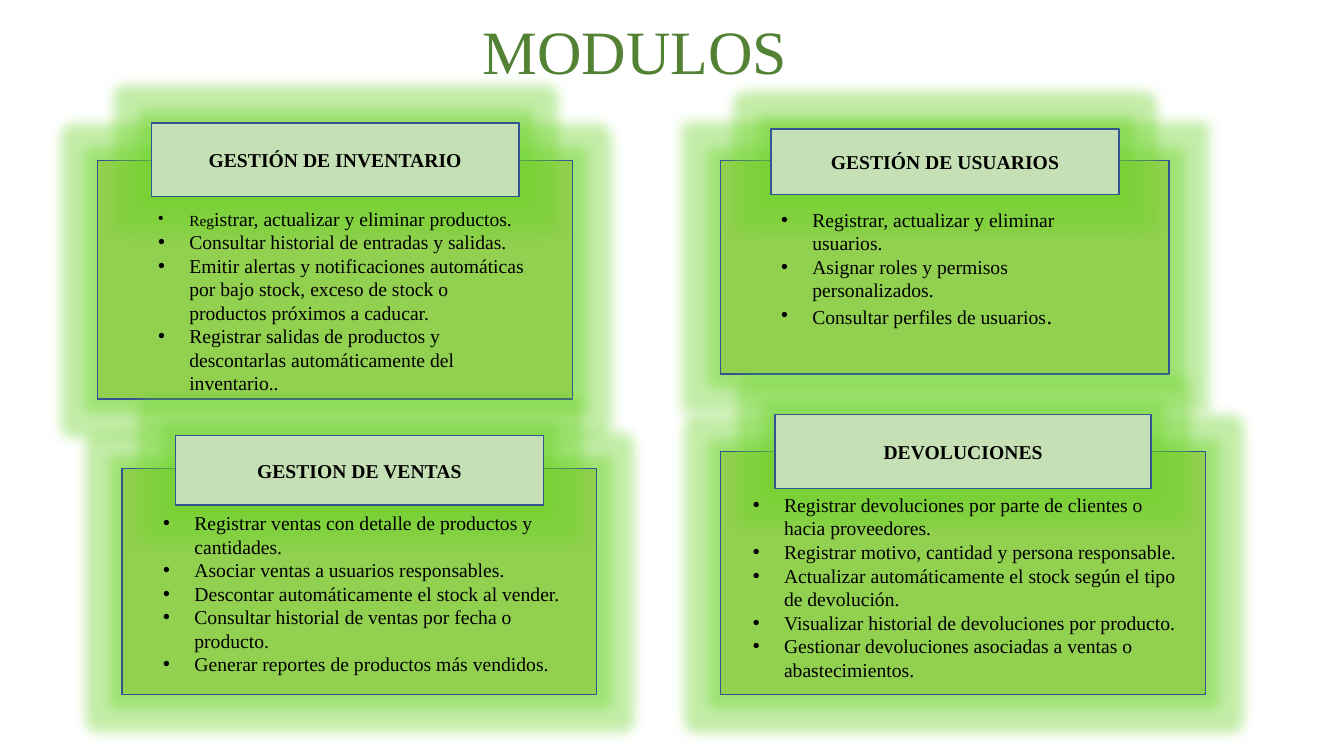
from dataclasses import dataclass

from lxml import etree
from pptx import Presentation
from pptx.dml.color import RGBColor
from pptx.enum.shapes import MSO_SHAPE
from pptx.enum.text import MSO_ANCHOR, PP_ALIGN
from pptx.oxml.ns import qn
from pptx.util import Inches, Pt

RECTANGLE = MSO_SHAPE.RECTANGLE
MIDDLE = MSO_ANCHOR.MIDDLE
CENTER = PP_ALIGN.CENTER

COLUMNS, ROWS = 160, 90
SLIDE_WIDTH, SLIDE_HEIGHT = Inches(13.33), Inches(7.5)
INDENT = Inches(0.31)
GLOW_RADIUS = Pt(18)

COLORS = {
    "panel": "92D050",
    "header": "C5E0B4",
    "outline": "325491",
    "glow": "6BD327",
    "title": "548235",
    "text": "000000",
}
BODY_FORMAT = {"name": "Times New Roman", "size": Pt(14)}
HEADER_FORMAT = {**BODY_FORMAT, "bold": True}
TITLE_FORMAT = {**BODY_FORMAT, "size": Pt(44)}


@dataclass(frozen=True)
class Area:
    column: float
    row: float
    columns: float
    rows: float

    def box(self) -> tuple[int, int, int, int]:
        return (
            round(self.column * SLIDE_WIDTH / COLUMNS),
            round(self.row * SLIDE_HEIGHT / ROWS),
            round(self.columns * SLIDE_WIDTH / COLUMNS),
            round(self.rows * SLIDE_HEIGHT / ROWS),
        )


@dataclass(frozen=True)
class Part:
    text: str
    size: int = 14


@dataclass(frozen=True)
class Module:
    name: str
    panel: Area
    header: Area
    listing: Area
    items: tuple[tuple[Part, ...], ...]


def plain(*texts: str) -> tuple[tuple[Part, ...], ...]:
    return tuple((Part(text),) for text in texts)


TITLE_AREA = Area(21.84, 1.8, 107.52, 9.36)
MODULES = (
    Module(
        "GESTIÓN DE INVENTARIO",
        Area(11.64, 19.08, 56.52, 28.44),
        Area(18, 14.64, 43.8, 8.76),
        Area(17.64, 24, 46.68, 23.88),
        ((Part("Reg", 11), Part("istrar, actualizar y eliminar productos.")),)
        + plain(
            "Consultar historial de entradas y salidas.",
            "Emitir alertas y notificaciones automáticas por bajo stock, "
            "exceso de stock o productos próximos a caducar.",
            "Registrar salidas de productos y descontarlas automáticamente "
            "del inventario..",
        ),
    ),
    Module(
        "GESTIÓN DE USUARIOS",
        Area(85.8, 19.08, 53.4, 25.44),
        Area(91.8, 15.36, 41.4, 7.8),
        Area(91.8, 24.12, 41.4, 15.72),
        plain(
            "Registrar, actualizar y eliminar usuarios.",
            "Asignar roles y permisos personalizados.",
        )
        + ((Part("Consultar perfiles de usuarios"), Part(".", 16)),),
    ),
    Module(
        "GESTION DE VENTAS",
        Area(14.52, 55.8, 56.52, 26.88),
        Area(20.88, 51.84, 43.8, 8.28),
        Area(18.24, 60.24, 50.04, 21),
        plain(
            "Registrar ventas con detalle de productos y cantidades.",
            "Asociar ventas a usuarios responsables.",
            "Descontar automáticamente el stock al vender.",
            "Consultar historial de ventas por fecha o producto.",
            "Generar reportes de productos más vendidos.",
        ),
    ),
    Module(
        "DEVOLUCIONES",
        Area(85.8, 53.76, 57.72, 28.92),
        Area(92.28, 49.32, 44.76, 8.88),
        Area(88.44, 58.08, 53.4, 23.88),
        plain(
            "Registrar devoluciones por parte de clientes o hacia proveedores.",
            "Registrar motivo, cantidad y persona responsable.",
            "Actualizar automáticamente el stock según el tipo de devolución.",
            "Visualizar historial de devoluciones por producto.",
            "Gestionar devoluciones asociadas a ventas o abastecimientos.",
        ),
    ),
)


def color(name: str) -> RGBColor:
    return RGBColor.from_string(COLORS[name])


def add_run(paragraph, text: str, formats: dict, color_name: str = "text") -> None:
    run = paragraph.add_run()
    run.text = text
    for attribute, value in formats.items():
        setattr(run.font, attribute, value)
    run.font.color.rgb = color(color_name)


def add_glow(shape) -> None:
    effects = shape._element.spPr.find(qn("a:effectLst"))
    glow = etree.SubElement(effects, qn("a:glow"), rad=str(GLOW_RADIUS))
    tint = etree.SubElement(glow, qn("a:srgbClr"), val=COLORS["glow"])
    etree.SubElement(tint, qn("a:alpha"), val="40000")


def add_rectangle(shapes, area: Area, fill: str):
    shape = shapes.add_shape(RECTANGLE, *area.box())
    shape.shadow.inherit = False
    shape.fill.solid()
    shape.fill.fore_color.rgb = color(fill)
    shape.line.color.rgb = color("outline")
    shape.line.width = Pt(1)
    add_glow(shape)
    return shape


def add_centered(shape, text: str, formats: dict, color_name: str):
    frame = shape.text_frame
    frame.word_wrap = True
    frame.vertical_anchor = MIDDLE
    paragraph = frame.paragraphs[0]
    paragraph.alignment = CENTER
    add_run(paragraph, text, formats, color_name)
    return paragraph


def add_bullet(paragraph) -> None:
    properties = paragraph._p.get_or_add_pPr()
    properties.set("marL", str(INDENT))
    properties.set("indent", str(-INDENT))
    etree.SubElement(properties, qn("a:buFont"), typeface="Arial")
    etree.SubElement(properties, qn("a:buChar"), char="•")


def add_module(slide, module: Module) -> None:
    group = slide.shapes.add_group_shape()
    add_rectangle(group.shapes, module.panel, "panel")
    header = add_rectangle(group.shapes, module.header, "header")
    add_centered(header, module.name, HEADER_FORMAT, "text")
    frame = slide.shapes.add_textbox(*module.listing.box()).text_frame
    frame.word_wrap = True
    for index, parts in enumerate(module.items):
        paragraph = frame.add_paragraph() if index else frame.paragraphs[0]
        add_bullet(paragraph)
        for part in parts:
            add_run(paragraph, part.text, {**BODY_FORMAT, "size": Pt(part.size)})


def main() -> None:
    presentation = Presentation()
    presentation.slide_width = SLIDE_WIDTH
    presentation.slide_height = SLIDE_HEIGHT
    slide = presentation.slides.add_slide(presentation.slide_layouts[6])
    for module in MODULES:
        add_module(slide, module)
    title = slide.shapes.add_textbox(*TITLE_AREA.box())
    add_centered(title, "MODULOS", TITLE_FORMAT, "title").line_spacing = 0.9
    presentation.save("out.pptx")


if __name__ == "__main__":
    main()
